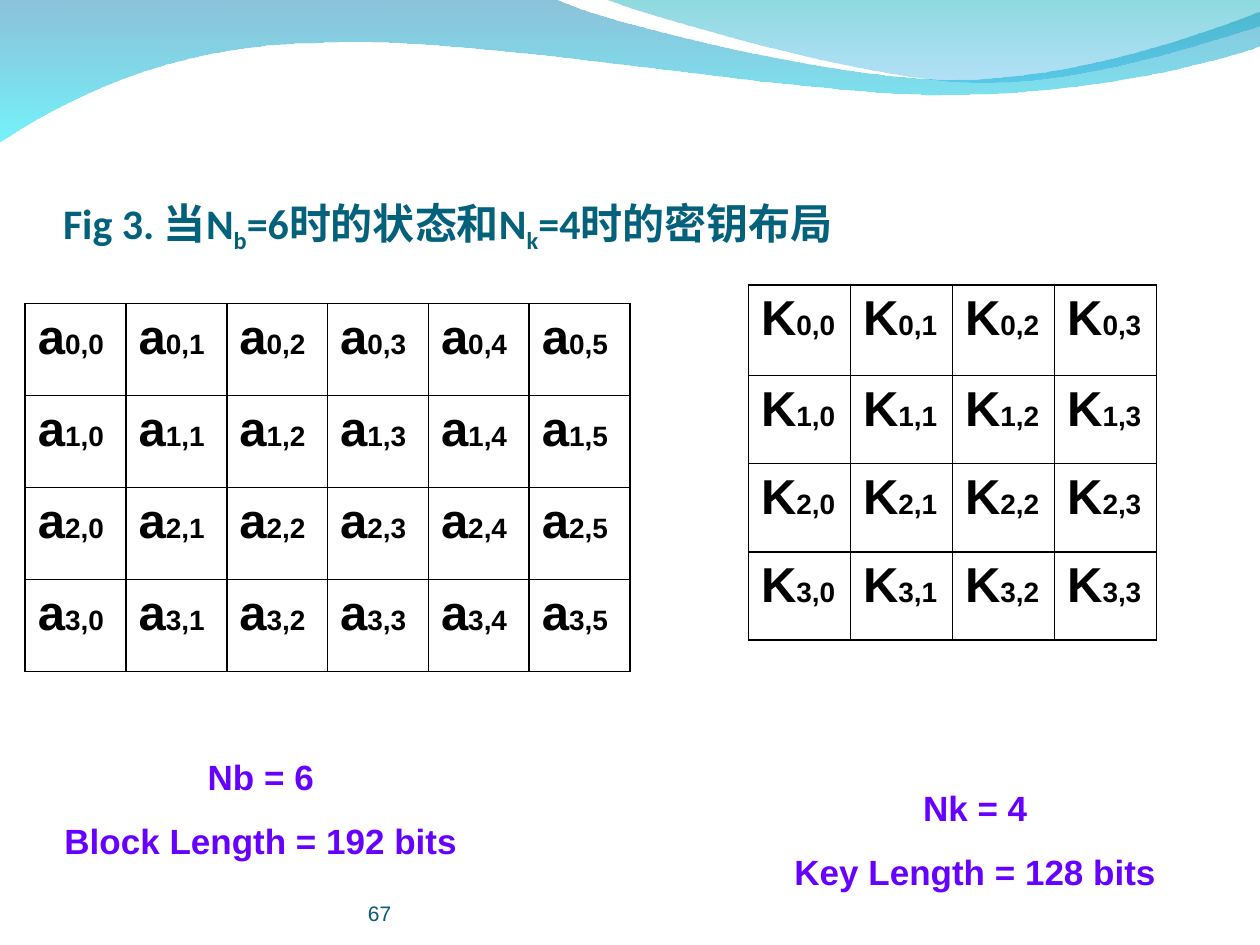
import lxml.etree
import pptx
import pptx.dml.color
import pptx.enum.text
import pptx.oxml
import pptx.oxml.ns
import pptx.util
from pptx.oxml.ns import qn
from pptx.util import Inches

FONT = "Arial"
BLACK, VIOLET, TITLE_TEAL, NUMBER_TEAL = "000000", "6600FF", "04617B", "045C75"
MAIN_WAVE = [
    [(0, -0.01)], [(4.4, -0.01)],
    [(4.76, 0.17), (6.64, 0.63), (7.58, 0.63)],
    [(8.53, 0.63), (9.58, 0.26), (10, 0.09)],
    [(10.01, 0.36)],
    [(9.83, 0.44), (8.7, 0.76), (7.46, 0.75)],
    [(6.22, 0.75), (3.82, 0.28), (2.57, 0.34)],
    [(1.29, 0.35), (0.46, 0.83), (-0.01, 1.13)],
]
RIGHT_WAVE = [
    [(4.79, -0.01)],
    [(5.09, 0.11), (6.82, 0.62), (7.69, 0.65)],
    [(8.56, 0.69), (9.61, 0.32), (10, 0.21)],
    [(10, 0)],
]


def rgb(color):
    """Turn a hex string into a colour."""
    return pptx.dml.color.RGBColor.from_string(color)


def style_font(font, size, color, bold=True, name=FONT):
    """Set the face, size, weight and colour of a font."""
    font.name, font.size, font.bold = name, pptx.util.Pt(size), bold
    font.color.rgb = rgb(color)


def set_insets(tf, left, top, right, bottom):
    """Set the four inner margins of a text frame."""
    tf.margin_left, tf.margin_top = Inches(left), Inches(top)
    tf.margin_right, tf.margin_bottom = Inches(right), Inches(bottom)


def bend_segments(sp, segments):
    """Merge the three lines of each curved segment into one cubic curve."""
    lines = iter(list(sp.element.iter(qn("a:lnTo"))))
    for segment in segments[1:]:
        group = [next(lines) for _ in segment]
        if len(group) == 3:
            curve = lxml.etree.Element(qn("a:cubicBezTo"))
            group[0].addprevious(curve)
            for line in group:
                curve.append(line[0])
                line.getparent().remove(line)


def add_wave(s, segments, stops):
    """Draw a closed wave with a translucent vertical gradient."""
    points = [(Inches(x), Inches(y)) for segment in segments for x, y in segment]
    builder = s.shapes.build_freeform(*points[0])
    builder.add_line_segments(points[1:], close=True)
    sp = builder.convert_to_shape()
    bend_segments(sp, segments)
    sp.shadow.inherit = False
    sp.line.fill.background()
    sp.fill.gradient()
    sp.fill.gradient_angle = 270
    for stop, (color, _) in zip(sp.fill.gradient_stops, stops):
        stop.color.rgb = rgb(color)
    for node, (_, opacity) in zip(sp.element.spPr.iter(qn("a:srgbClr")), stops):
        alpha = lxml.etree.SubElement(node, qn("a:alpha"))
        alpha.set("val", str(opacity * 1000))


def add_title(s, pieces):
    """Fill the title placeholder with normal and subscript pieces."""
    sp = s.shapes.title
    sp.left, sp.top, sp.width, sp.height = map(Inches, (0.5, 0.77, 9, 1.25))
    tf = sp.text_frame
    tf.auto_size = pptx.enum.text.MSO_AUTO_SIZE.NONE
    tf.vertical_anchor = pptx.enum.text.MSO_ANCHOR.BOTTOM
    set_insets(tf, 0, 0.05, 0, 0)
    p = tf.paragraphs[0]
    p.alignment = pptx.enum.text.PP_ALIGN.LEFT
    style_font(p.font, 24, TITLE_TEAL, name="Calibri")
    for text, is_subscript in pieces:
        r = p.add_run()
        r.text = text
        if is_subscript:
            r._r.get_or_add_rPr().set("baseline", "-25000")
    sp.element.getparent().append(sp.element)


def border_cell(cell):
    """Draw a thin black line on each side of a cell."""
    tc_pr = cell._tc.get_or_add_tcPr()
    for i, side in enumerate("LRTB"):
        tc_pr.insert(i, pptx.oxml.parse_xml(
            f'<a:ln{side} {pptx.oxml.ns.nsdecls("a")} w="13716"><a:solidFill>'
            f'<a:srgbClr val="{BLACK}"/></a:solidFill></a:ln{side}>'))


def add_matrix(s, letter, left, top, column_width, row_heights, columns):
    """Add a table of one letter indexed by row and column."""
    table = s.shapes.add_table(
        len(row_heights), columns, Inches(left), Inches(top),
        Inches(column_width * columns), Inches(sum(row_heights))).table
    table.first_row = table.horz_banding = False
    for column in table.columns:
        column.width = Inches(column_width)
    for i, height in enumerate(row_heights):
        table.rows[i].height = Inches(height)
        for j in range(columns):
            cell = table.cell(i, j)
            cell.fill.background()
            border_cell(cell)
            p = cell.text_frame.paragraphs[0]
            for text, size in ((letter, 28), (f"{i},{j}", 16)):
                r = p.add_run()
                r.text = text
                style_font(r.font, size, BLACK)


def add_text(s, box, lines, size, color, bold=True, centred=True, inset=(0.1, 0.05)):
    """Add a text box with one paragraph per line."""
    tf = s.shapes.add_textbox(*map(Inches, box)).text_frame
    tf.word_wrap = True
    set_insets(tf, *inset, *inset)
    for i, line in enumerate(lines):
        p = tf.add_paragraph() if i else tf.paragraphs[0]
        p.text = line
        if i:
            p.space_before = pptx.util.Pt(12.5)
        if centred:
            p.alignment = pptx.enum.text.PP_ALIGN.CENTER
        style_font(p.font, size, color, bold)
    return tf


def main():
    """Build the slide and save it."""
    prs = pptx.Presentation()
    prs.slide_width, prs.slide_height = Inches(10), Inches(7.5)
    s = prs.slides.add_slide(prs.slide_layouts[5])
    add_wave(s, MAIN_WAVE, [("0079AF", 45), ("00EBF8", 55)])
    add_wave(s, RIGHT_WAVE, [("00ADB6", 45), ("009BE5", 30)])
    add_title(s, [("Fig 3. 当N", False), ("b", True), ("=6时的状态和N", False),
                  ("k", True), ("=4时的密钥布局", False)])
    add_matrix(s, "a", 0.2, 2.41, 0.8, [0.73] * 4, 6)
    add_matrix(s, "K", 5.94, 2.26, 0.81, [0.72] + [0.7] * 3, 4)
    number = add_text(s, (2.92, 6.95, 3.67, 0.4), ["67"], 12, NUMBER_TEAL,
                      bold=False, centred=False, inset=(0, 0))
    number.vertical_anchor = pptx.enum.text.MSO_ANCHOR.BOTTOM
    add_text(s, (0.2, 5.95, 3.74, 0.94),
             ["Nb = 6", "Block Length = 192 bits"], 20, VIOLET)
    add_text(s, (5.87, 6.19, 3.74, 0.94),
             ["Nk = 4", "Key Length = 128 bits"], 20, VIOLET)
    prs.save("out.pptx")


if __name__ == "__main__":
    main()
